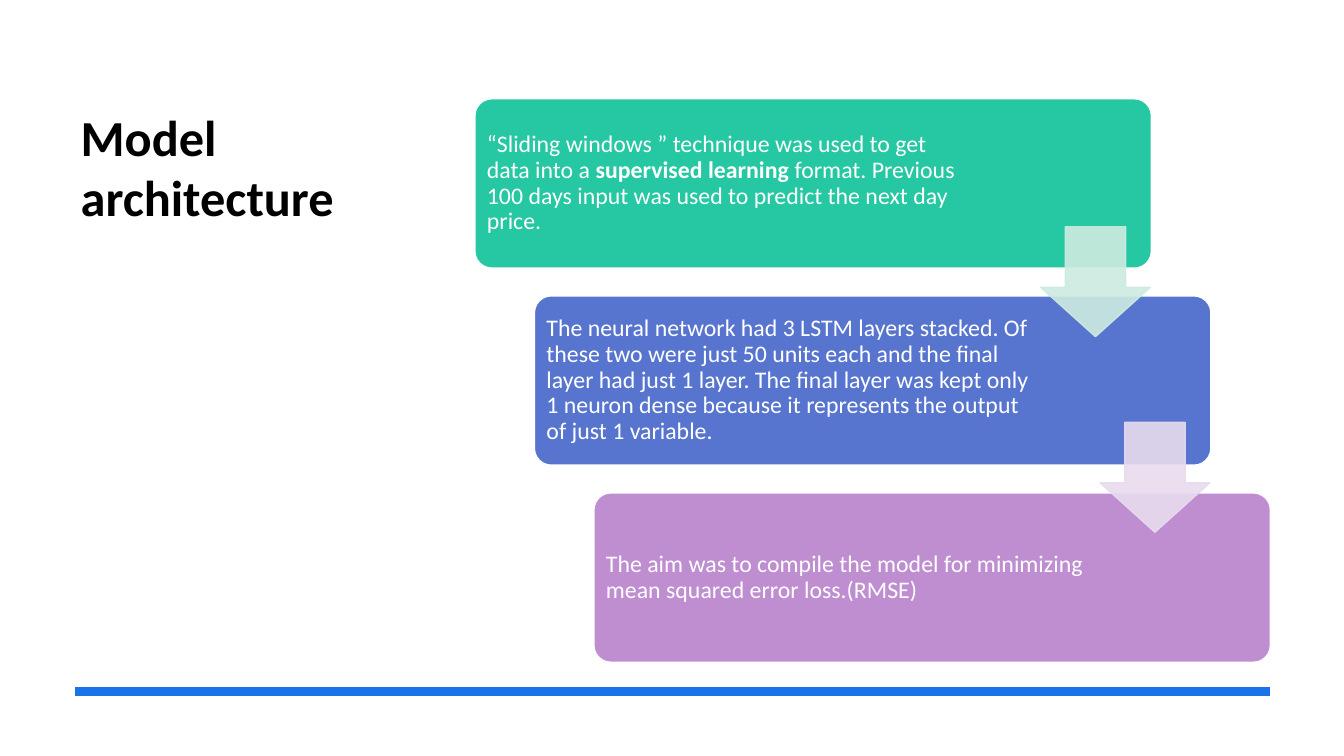
from dataclasses import dataclass

import pptx
import pptx.dml.color
import pptx.enum.shapes
import pptx.enum.text
import pptx.oxml
import pptx.oxml.ns
import pptx.util
from pptx.util import Inches

SHAPES = pptx.enum.shapes.MSO_SHAPE
ANCHOR = pptx.enum.text.MSO_ANCHOR


@dataclass(frozen=True)
class Theme:
    font: str = "Calibri"
    title_size: int = 36
    step_size: int = 17
    black: str = "000000"
    white: str = "FFFFFF"
    rule: str = "1973EB"
    arrow_opacity: int = 90


@dataclass(frozen=True)
class Span:
    text: str
    bold: bool = False


@dataclass(frozen=True)
class Step:
    color: str
    text_width: float
    spans: tuple[Span, ...]


@dataclass(frozen=True)
class Arrow:
    color: str
    top: float


THEME = Theme()

# Staircase geometry, in inches
FIRST_LEFT, FIRST_TOP = 4.71, 0.98
STEP_RIGHT, STEP_DOWN = 0.59, 1.955
CARD_WIDTH, CARD_HEIGHT = 6.71, 1.68
TEXT_MARGIN = 0.05
ARROW_LEFT, ARROW_SIZE = 10.32, 1.09

STEPS = (
    Step("25C8A2", 4.9, (
        Span("“Sliding windows ” technique was used to get data into a "),
        Span("supervised learning ", bold=True),
        Span("format. Previous 100 days input was used to predict the next day price."),
    )),
    Step("5775CF", 4.93, (
        Span("The neural network had 3 LSTM layers stacked. Of these two were just "
             "50 units each and the final layer had just 1 layer. The final layer "
             "was kept only 1 neuron dense because it represents the output of "
             "just 1 variable."),
    )),
    Step("BF8ED1", 4.93, (
        Span("The aim was to compile the model for minimizing mean squared error "
             "loss.(RMSE)"),
    )),
)
ARROWS = (Arrow("CDEBE0", 2.25), Arrow("E8DBEE", 4.19))


def rgb(color: str) -> pptx.dml.color.RGBColor:
    return pptx.dml.color.RGBColor.from_string(color)


def add_span(para, span: Span, size: int, color: str) -> None:
    run = para.add_run()
    run.text = span.text
    run.font.name = THEME.font
    run.font.size = pptx.util.Pt(size)
    run.font.bold = span.bold
    run.font.color.rgb = rgb(color)


def paint(shape, fill: str, line: str) -> None:
    shape.shadow.inherit = False
    shape.fill.solid()
    shape.fill.fore_color.rgb = rgb(fill)
    shape.line.color.rgb = rgb(line)
    shape.line.width = pptx.util.Pt(1)


def add_title(page, text: str) -> None:
    title = page.shapes.title
    title.left, title.top = Inches(0.7), Inches(1)
    title.width, title.height = Inches(3.28), Inches(4.55)
    frame = title.text_frame
    frame.word_wrap = True
    frame.auto_size = pptx.enum.text.MSO_AUTO_SIZE.NONE
    frame.vertical_anchor = ANCHOR.TOP
    para = frame.paragraphs[0]
    para.alignment = pptx.enum.text.PP_ALIGN.LEFT
    add_span(para, Span(text, bold=True), THEME.title_size, THEME.black)


def add_rule(page) -> None:
    rule = page.shapes.add_connector(
        pptx.enum.shapes.MSO_CONNECTOR.STRAIGHT,
        Inches(0.74), Inches(6.86), Inches(12.6), Inches(6.86))
    rule.line.color.rgb = rgb(THEME.rule)
    rule.line.width = pptx.util.Pt(6)
    pptx.oxml.ns.qn("a:effectLst")
    rule.element.spPr.append(
        pptx.oxml.parse_xml(f"<a:effectLst {pptx.oxml.ns.nsdecls('a')}/>"))


def add_step(page, index: int, step: Step) -> None:
    left = FIRST_LEFT + index * STEP_RIGHT
    top = FIRST_TOP + index * STEP_DOWN
    card = page.shapes.add_shape(
        SHAPES.ROUNDED_RECTANGLE, Inches(left), Inches(top),
        Inches(CARD_WIDTH), Inches(CARD_HEIGHT))
    card.adjustments[0] = 0.1
    paint(card, step.color, THEME.white)

    box = page.shapes.add_textbox(
        Inches(left + TEXT_MARGIN), Inches(top + TEXT_MARGIN),
        Inches(step.text_width), Inches(CARD_HEIGHT - 2 * TEXT_MARGIN))
    frame = box.text_frame
    frame.word_wrap = True
    frame.vertical_anchor = ANCHOR.MIDDLE
    frame.margin_left = frame.margin_right = Inches(0.07)
    frame.margin_top = frame.margin_bottom = Inches(0.07)
    para = frame.paragraphs[0]
    para.line_spacing = 0.9
    for span in step.spans:
        add_span(para, span, THEME.step_size, THEME.white)


def add_arrow(page, index: int, arrow: Arrow) -> None:
    shape = page.shapes.add_shape(
        SHAPES.DOWN_ARROW, Inches(ARROW_LEFT + index * STEP_RIGHT),
        Inches(arrow.top), Inches(ARROW_SIZE), Inches(ARROW_SIZE))
    shape.adjustments[0] = 0.55
    shape.adjustments[1] = 0.45
    paint(shape, arrow.color, arrow.color)
    # Fill and outline share one opacity
    for color in shape.element.spPr.iter(pptx.oxml.ns.qn("a:srgbClr")):
        color.append(pptx.oxml.parse_xml(
            f"<a:alpha {pptx.oxml.ns.nsdecls('a')} "
            f'val="{THEME.arrow_opacity * 1000}"/>'))


def main() -> None:
    deck = pptx.Presentation()
    deck.slide_width, deck.slide_height = Inches(13.33), Inches(7.5)
    page = deck.slides.add_slide(deck.slide_layouts.get_by_name("Title Only"))

    # Heading and bottom rule
    add_title(page, "Model architecture")
    add_rule(page)

    # Cards first, so the arrows overlap them
    for index, step in enumerate(STEPS):
        add_step(page, index, step)
    for index, arrow in enumerate(ARROWS):
        add_arrow(page, index, arrow)

    deck.save("out.pptx")


if __name__ == "__main__":
    main()
